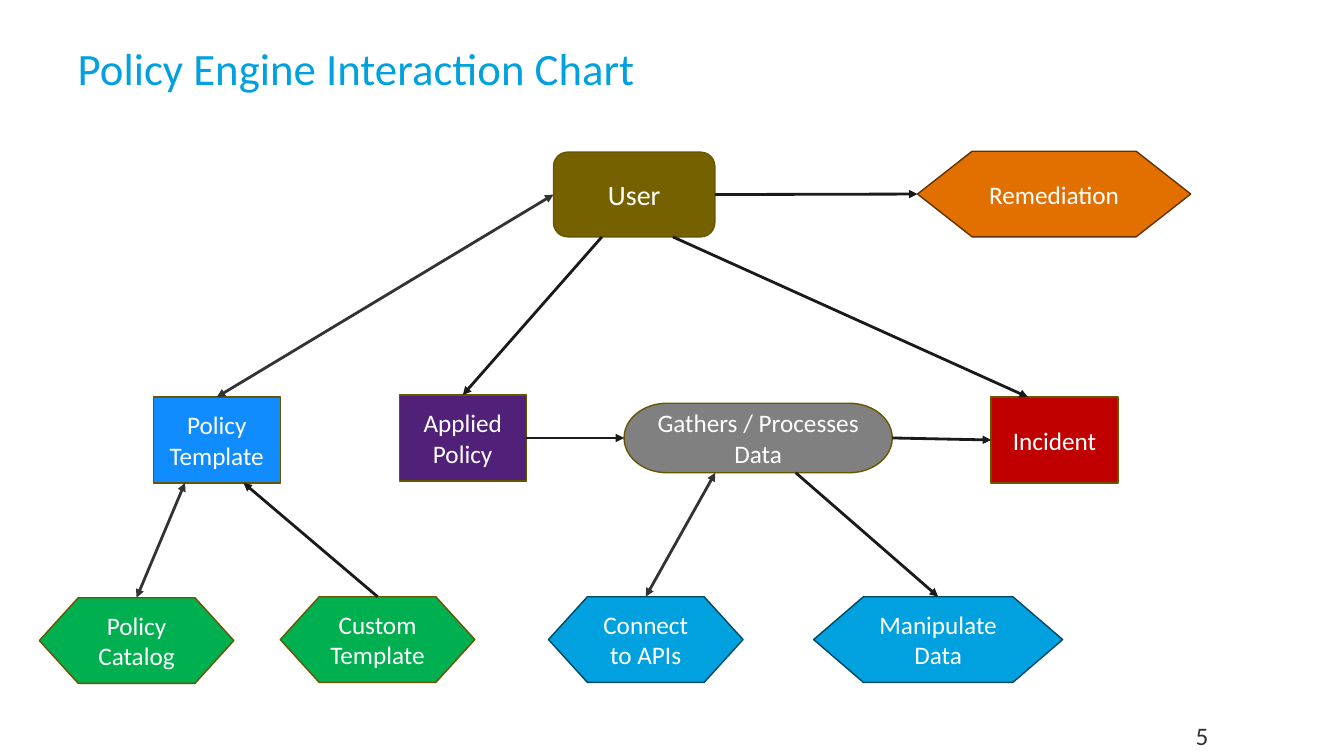
from lxml.etree import SubElement
from pptx import Presentation
from pptx.dml.color import RGBColor
from pptx.enum.shapes import MSO_CONNECTOR as Line, MSO_SHAPE as Shape
from pptx.enum.text import MSO_ANCHOR as Anchor, MSO_AUTO_SIZE as AutoSize, PP_ALIGN as Align
from pptx.oxml.ns import qn
from pptx.util import Pt

PX = 9144
TOP, LEFT, BOTTOM, RIGHT = range(4)

WHITE = RGBColor(0xFF, 0xFF, 0xFF)
INK = RGBColor(0x1A, 0x1A, 0x1A)
GREY_INK = RGBColor(0x33, 0x33, 0x33)
CYAN = RGBColor(0x00, 0xA1, 0xDE)
CYAN_EDGE = RGBColor(0x00, 0x47, 0x61)
OLIVE = RGBColor(0x76, 0x61, 0x00)
OLIVE_EDGE = RGBColor(0x67, 0x55, 0x00)
ORANGE = RGBColor(0xE1, 0x70, 0x00)
ORANGE_EDGE = RGBColor(0x63, 0x31, 0x00)
BLUE = RGBColor(0x10, 0x8C, 0xFF)
PURPLE = RGBColor(0x51, 0x21, 0x79)
GREY = RGBColor(0x80, 0x80, 0x80)
RED = RGBColor(0xC0, 0x00, 0x00)
GREEN = RGBColor(0x00, 0xB0, 0x50)

STEP, HEXAGON = Shape.FLOWCHART_PROCESS, Shape.FLOWCHART_PREPARATION
ROUNDED, PILL = Shape.FLOWCHART_ALTERNATE_PROCESS, Shape.FLOWCHART_TERMINATOR

NODES = [
    ("User", ROUNDED, (549, 151, 160, 84), OLIVE, OLIVE_EDGE, 20),
    ("Remediation", HEXAGON, (910, 150, 271, 85), ORANGE, ORANGE_EDGE, 18),
    ("Policy Template", STEP, (152, 394, 126, 85), BLUE, OLIVE_EDGE, 18),
    ("Applied Policy", STEP, (396, 392, 126, 85), PURPLE, OLIVE_EDGE, 18),
    ("Gathers / Processes Data", PILL, (619, 400, 266, 69), GREY, OLIVE_EDGE, 18),
    ("Incident", STEP, (983, 394, 126, 85), RED, OLIVE_EDGE, 18),
    ("Policy Catalog", HEXAGON, (39, 593, 193, 85), GREEN, OLIVE_EDGE, 18),
    ("Custom\nTemplate", HEXAGON, (278, 592, 193, 85), GREEN, OLIVE_EDGE, 18),
    ("Connect to APIs", HEXAGON, (544, 592, 193, 85), CYAN, CYAN_EDGE, 18),
    ("Manipulate Data", HEXAGON, (807, 592, 247, 85), CYAN, CYAN_EDGE, 18),
]

LINKS = [
    ("User", RIGHT, 0.5, "Remediation", LEFT, 0.5, False),
    ("User", LEFT, 0.5, "Policy Template", TOP, 0.5, True),
    ("User", BOTTOM, 0.3, "Applied Policy", TOP, 0.5, False),
    ("User", BOTTOM, 0.74, "Incident", TOP, 0.29, False),
    ("Applied Policy", RIGHT, 0.5, "Gathers / Processes Data", LEFT, 0.5, False),
    ("Gathers / Processes Data", RIGHT, 0.5, "Incident", LEFT, 0.5, False),
    ("Policy Template", BOTTOM, 0.25, "Policy Catalog", TOP, 0.5, True),
    ("Custom\nTemplate", TOP, 0.5, "Policy Template", BOTTOM, 0.71, False),
    ("Gathers / Processes Data", BOTTOM, 0.34, "Connect to APIs", TOP, 0.5, True),
    ("Gathers / Processes Data", BOTTOM, 0.64, "Manipulate Data", TOP, 0.5, False),
]


def scaled(box):
    return [length * PX for length in box]


def write(frame, text, size, color, align, anchor):
    frame.word_wrap = True
    frame.auto_size = AutoSize.NONE
    frame.vertical_anchor = anchor
    para = frame.paragraphs[0]
    para.alignment = align
    for index, line in enumerate(text.split("\n")):
        if index:
            para.add_line_break()
        span = para.add_run()
        span.text = line
        span.font.name = "Calibri"
        span.font.size = Pt(size)
        span.font.color.rgb = color
    return para


def add_title(page, box, text):
    title = page.shapes.title
    title.left, title.top, title.width, title.height = scaled(box)
    para = write(title.text_frame, text, 32, CYAN, Align.LEFT, Anchor.TOP)
    para.line_spacing = 0.9


def add_page_number(page, box, text):
    label = page.shapes.add_textbox(*scaled(box))
    write(label.text_frame, text, 18, GREY_INK, Align.LEFT, Anchor.TOP)


def add_node(page, box, text, kind, fill, edge, size):
    node = page.shapes.add_shape(kind, *scaled(box))
    node.shadow.inherit = False
    node.fill.solid()
    node.fill.fore_color.rgb = fill
    node.line.color.rgb = edge
    node.line.width = Pt(1)
    write(node.text_frame, text, size, WHITE, Align.CENTER, Anchor.MIDDLE)
    return node


def side_point(node, side, share):
    if side in (TOP, BOTTOM):
        return node.left + round(node.width * share), node.top + node.height * (side == BOTTOM)
    return node.left + node.width * (side == RIGHT), node.top + round(node.height * share)


def add_link(page, source, source_side, source_share, target, target_side, target_share, two_way):
    link = page.shapes.add_connector(
        Line.STRAIGHT,
        *side_point(source, source_side, source_share),
        *side_point(target, target_side, target_share),
    )
    if source_share == 0.5:
        link.begin_connect(source, source_side)
    if target_share == 0.5:
        link.end_connect(target, target_side)
    link.line.color.rgb = GREY_INK if two_way else INK
    link.line.width = Pt(2)
    outline = link.line._get_or_add_ln()
    for end in ("a:headEnd", "a:tailEnd") if two_way else ("a:tailEnd",):
        SubElement(outline, qn(end), type="triangle")
    SubElement(link._element.spPr, qn("a:effectLst"))


def add_chart_of_nodes(page):
    nodes = {
        text: add_node(page, box, text, kind, fill, edge, size)
        for text, kind, box, fill, edge, size in NODES
    }
    for source, source_side, source_share, target, target_side, target_share, two_way in LINKS:
        add_link(page, nodes[source], source_side, source_share,
                 nodes[target], target_side, target_share, two_way)


def main():
    deck = Presentation()
    deck.slide_width, deck.slide_height = scaled((1333, 750))
    page = deck.slides.add_slide(deck.slide_layouts[5])
    add_title(page, (67, 41, 1200, 110), "Policy Engine Interaction Chart")
    add_chart_of_nodes(page)
    add_page_number(page, (1176, 710, 91, 41), "5")
    deck.save("out.pptx")


if __name__ == "__main__":
    main()
